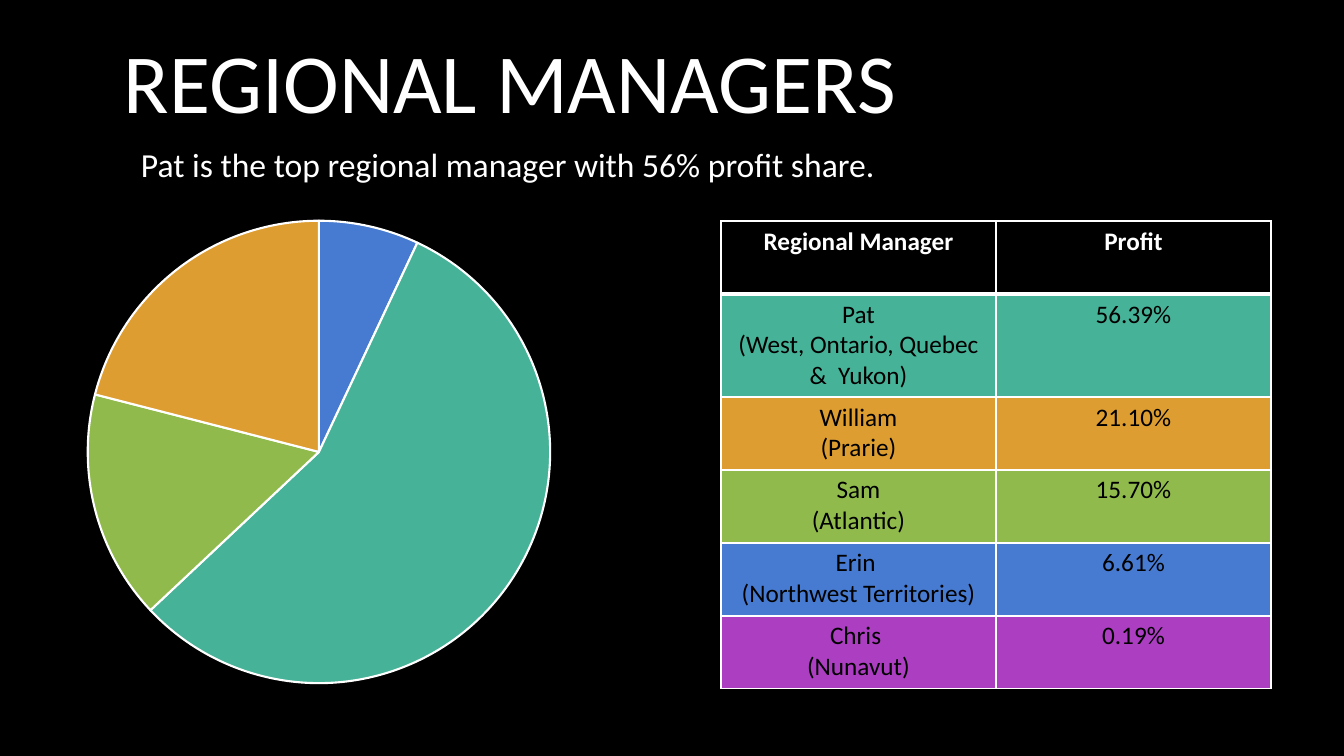
from dataclasses import dataclass

from lxml.etree import SubElement
from pptx import Presentation
from pptx.chart.data import CategoryChartData
from pptx.dml.color import RGBColor as RGB
from pptx.enum.chart import XL_CHART_TYPE as ChartType
from pptx.enum.text import MSO_ANCHOR as Anchor, PP_ALIGN as Align
from pptx.oxml import parse_xml
from pptx.oxml.ns import nsdecls, qn
from pptx.util import Emu, Pt

PX = 914400 / 100.8


@dataclass(frozen=True)
class Theme:
    font: str = "Calibri"
    black: str = "000000"
    white: str = "FFFFFF"
    purple: str = "AC3EC1"
    blue: str = "477BD1"
    teal: str = "46B298"
    green: str = "90BA4C"
    orange: str = "DD9D31"
    title: int = 60
    subtitle: int = 24
    cell: int = 18
    chart: int = 10
    rule: int = 1
    header_rule: int = 3
    slice_rule: float = 1.5


T = Theme()

MANAGERS = [
    ("Pat", "(West, Ontario, Quebec &  Yukon)", 56.39, T.teal),
    ("William", "(Prarie)", 21.10, T.orange),
    ("Sam", "(Atlantic)", 15.70, T.green),
    ("Erin ", "(Northwest Territories)", 6.61, T.blue),
    ("Chris ", "(Nunavut)", 0.19, T.purple),
]
PIE_ORDER = [4, 3, 0, 2, 1]


def px(n):
    return Emu(round(n * PX))


def style_font(font, size, color, bold=False):
    font.name, font.size, font.bold = T.font, Pt(size), bold
    font.color.rgb = RGB.from_string(color)


def write_lines(tf, lines, size, color, bold=False, align=Align.LEFT):
    for i, line in enumerate(lines):
        p = tf.paragraphs[0] if i == 0 else tf.add_paragraph()
        p.alignment = align
        r = p.add_run()
        r.text = line
        style_font(r.font, size, color, bold)


def add_text(s, box, text, size, anchor):
    tf = s.shapes.add_textbox(*map(px, box)).text_frame
    tf.word_wrap = True
    tf.vertical_anchor = anchor
    write_lines(tf, [text], size, T.white)


def add_profit_pie(s, box):
    data = CategoryChartData()
    data.categories = [str(i + 1) for i in range(len(PIE_ORDER))]
    data.add_series("Series 1", [round(MANAGERS[i][2]) for i in PIE_ORDER])
    chart = s.shapes.add_chart(ChartType.PIE, *map(px, box), data).chart
    chart.has_title = chart.has_legend = False
    style_font(chart.font, T.chart, T.white)
    plot = chart.plots[0]
    plot.vary_by_categories = True
    for n, i in enumerate(PIE_ORDER):
        fmt = plot.series[0].points[n].format
        fmt.fill.solid()
        fmt.fill.fore_color.rgb = RGB.from_string(MANAGERS[i][3])
        fmt.line.color.rgb = RGB.from_string(T.white)
        fmt.line.width = Pt(T.slice_rule)
    place_plot(chart, x=0.17, y=0.03, w=0.66, h=0.94)


def place_plot(chart, **shares):
    """Fix the plot area as shares of the chart frame."""
    area = chart.plots[0]._element.getparent()
    for old in area.findall(qn("c:layout")):
        area.remove(old)
    layout = parse_xml(f"<c:layout {nsdecls('c')}><c:manualLayout/></c:layout>")
    area.insert(0, layout)
    settings = {"layoutTarget": "inner", "xMode": "edge", "yMode": "edge", **shares}
    for tag, val in settings.items():
        SubElement(layout[0], qn(f"c:{tag}")).set("val", str(val))


def set_borders(cell, top, bottom):
    widths = {"lnL": T.rule, "lnR": T.rule, "lnT": top, "lnB": bottom}
    tc_pr = cell._tc.get_or_add_tcPr()
    for i, (tag, width) in enumerate(widths.items()):
        tc_pr.insert(i, parse_xml(
            f'<a:{tag} {nsdecls("a")} w="{Pt(width)}"><a:solidFill>'
            f'<a:srgbClr val="{T.white}"/></a:solidFill></a:{tag}>'))


def fill_cell(cell, lines, fill, top=T.rule, bottom=T.rule):
    """Write a centred cell; one without a fill is a header."""
    if fill:
        cell.fill.solid()
        cell.fill.fore_color.rgb = RGB.from_string(fill)
    else:
        cell.fill.background()
    color = T.black if fill else T.white
    write_lines(cell.text_frame, lines, T.cell, color, not fill, Align.CENTER)
    set_borders(cell, top, bottom)


def add_profit_table(s, left, top, col_width, heights):
    table = s.shapes.add_table(len(heights), 2, px(left), px(top),
                               px(2 * col_width), px(sum(heights))).table
    table.first_row = table.horz_banding = False
    for col in table.columns:
        col.width = px(col_width)
    for row, height in zip(table.rows, heights):
        row.height = px(height)
    for c, head in enumerate(("Regional Manager", "Profit")):
        fill_cell(table.cell(0, c), [head], None, bottom=T.header_rule)
    for r, (name, region, profit, color) in enumerate(MANAGERS, 1):
        rule = T.header_rule if r == 1 else T.rule
        fill_cell(table.cell(r, 0), [name, region], color, top=rule)
        fill_cell(table.cell(r, 1), [f"{profit:.2f}%"], color, top=rule)


def main():
    prs = Presentation()
    prs.slide_width, prs.slide_height = px(1344), px(756)
    s = prs.slides.add_slide(prs.slide_layouts[6])
    s.background.fill.solid()
    s.background.fill.fore_color.rgb = RGB.from_string(T.black)

    add_text(s, (114, 0, 1117, 160), "REGIONAL MANAGERS", T.title, Anchor.MIDDLE)
    add_profit_pie(s, (-34, 206, 706, 492))
    add_profit_table(s, 721, 221, 275, [73, 103, 73, 73, 73, 73])
    add_text(s, (131, 139, 1082, 50),
             "Pat is the top regional manager with 56% profit share.",
             T.subtitle, Anchor.TOP)
    prs.save("out.pptx")


if __name__ == "__main__":
    main()
